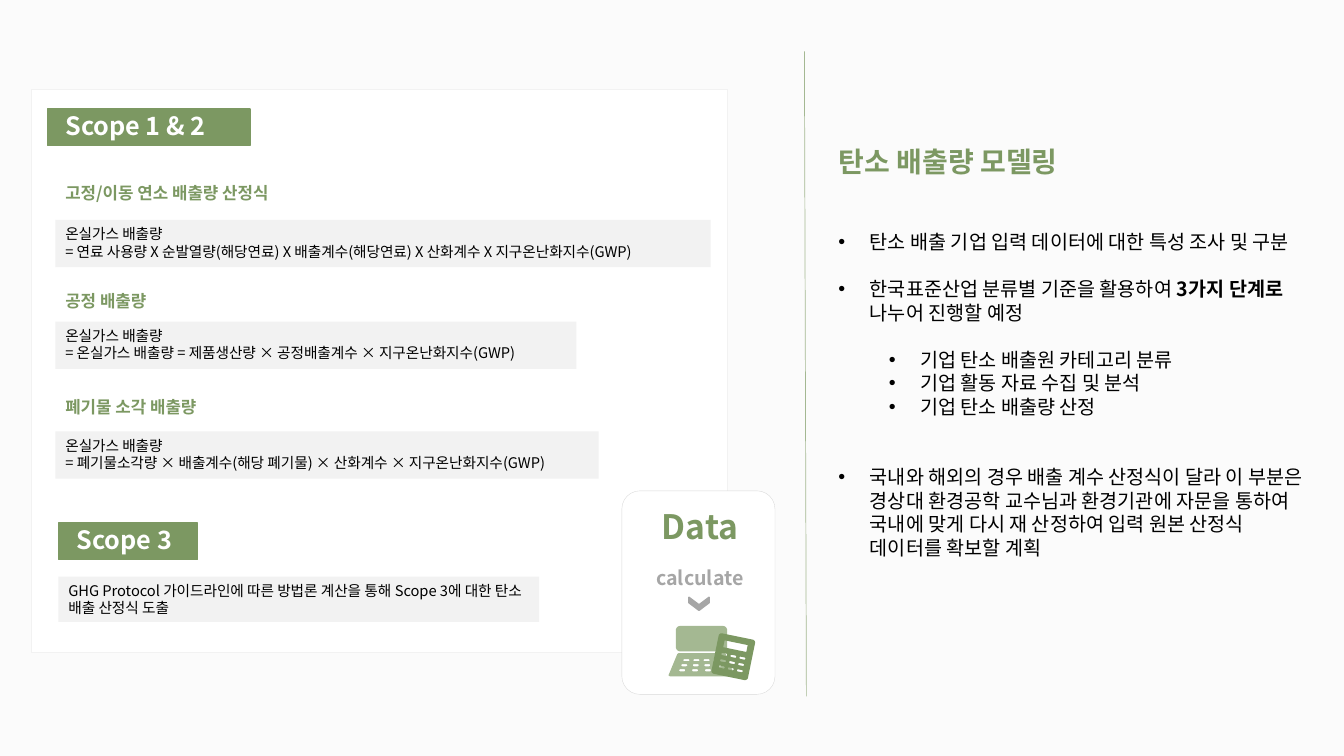
"""Build the carbon emission modelling slide."""
import math

from lxml import etree
from pptx import Presentation
from pptx.dml.color import RGBColor
from pptx.enum.shapes import MSO_CONNECTOR, MSO_SHAPE
from pptx.enum.text import MSO_ANCHOR, MSO_AUTO_SIZE, PP_ALIGN
from pptx.oxml.ns import qn
from pptx.util import Pt

RECT, ROUNDED, CHEVRON = MSO_SHAPE.RECTANGLE, MSO_SHAPE.ROUNDED_RECTANGLE, MSO_SHAPE.CHEVRON
STRAIGHT = MSO_CONNECTOR.STRAIGHT
TOP, MIDDLE = MSO_ANCHOR.TOP, MSO_ANCHOR.MIDDLE
LEFT, CENTER = PP_ALIGN.LEFT, PP_ALIGN.CENTER
NO_AUTOFIT = MSO_AUTO_SIZE.NONE

FONT = "Noto Sans CJK KR"
GREEN, LIGHT_GREEN = "7C9862", "A4B892"
WHITE, BLACK, PALE, GRAY = "FFFFFF", "000000", "F2F2F2", "A6A6A6"
LINE_HEIGHT = 16.8

FORMULAS = [
    ("고정/이동 연소 배출량 산정식", 126.7, 177.8, 157, 468,
     "= 연료 사용량 X 순발열량(해당연료) X 배출계수(해당연료) X 산화계수 X 지구온난화지수(GWP)"),
    ("공정 배출량", 203.8, 79.2, 229.7, 372.2,
     "= 온실가스 배출량 = 제품생산량 × 공정배출계수 × 지구온난화지수(GWP)"),
    ("폐기물 소각 배출량", 280.1, 120.2, 308.2, 388.1,
     "= 폐기물소각량 × 배출계수(해당 폐기물) × 산화계수 × 지구온난화지수(GWP)"),
]
BULLETS = [
    (0, 0, [("탄소 배출 기업 입력 데이터에 대한 특성 조사 및 구분", False)]),
    (0, 1, [("한국표준산업 분류별 기준을 활용하여 ", False), ("3가지 단계로 ", True),
            ("나누어 진행할 예정", False)]),
    (1, 1, [("기업 탄소 배출원 카테고리 분류", False)]),
    (1, 0, [("기업 활동 자료 수집 및 분석", False)]),
    (1, 0, [("기업 탄소 배출량 산정", False)]),
    (0, 2, [("국내와 해외의 경우 배출 계수 산정식이 달라 이 부분은 경상대 환경공학 교수님과 "
             "환경기관에 자문을 통하여 국내에 맞게 다시 재 산정하여 입력 원본 산정식 "
             "데이터를 확보할 계획", False)]),
]


def rgb(value):
    return RGBColor.from_string(value)


def style(p, size, color, bold=False, align=LEFT):
    p.alignment = align
    p.font.size, p.font.name, p.font.bold = Pt(size), FONT, bold
    p.font.color.rgb = rgb(color)
    props = p._p.get_or_add_pPr().find(qn("a:defRPr"))
    etree.SubElement(props, qn("a:ea")).set("typeface", FONT)


def write(tf, lines, size, color, bold=False, align=LEFT, anchor=TOP, wrap=True):
    tf.word_wrap, tf.auto_size, tf.vertical_anchor = wrap, NO_AUTOFIT, anchor
    for i, line in enumerate(lines):
        p = tf.add_paragraph() if i else tf.paragraphs[0]
        p.add_run().text = line
        style(p, size, color, bold, align)


def add_text(s, box, text, size, color, **options):
    sp = s.shapes.add_textbox(*map(Pt, box))
    write(sp.text_frame, [text], size, color, **options)


def paint(sp, fill, line=None, width=1):
    sp.shadow.inherit = False
    sp.fill.solid()
    sp.fill.fore_color.rgb = rgb(fill)
    if line:
        sp.line.color.rgb = rgb(line)
        sp.line.width = Pt(width)
    else:
        sp.line.fill.background()


def add_box(s, kind, box, fill, line=None, width=1):
    sp = s.shapes.add_shape(kind, *map(Pt, box))
    paint(sp, fill, line, width)
    return sp


def add_scope(s, x, y, w, text):
    add_box(s, RECT, (x, y, w, 26), GREEN, GREEN)
    add_text(s, (x + 5.8, y - 2.9, w - 5.8, 29), text, 18, WHITE, bold=True)


def add_note(s, box, lines):
    sp = add_box(s, RECT, box, PALE)
    write(sp.text_frame, lines, 10.5, BLACK)


def add_bullets(s):
    tf = s.shapes.add_textbox(Pt(591.8), Pt(160.6), Pt(356.4), Pt(295.9)).text_frame
    tf.word_wrap = True
    for i, (level, gap, runs) in enumerate(BULLETS):
        p = tf.add_paragraph() if i else tf.paragraphs[0]
        p.level, p.space_before = level, Pt(gap * LINE_HEIGHT)
        props = p._p.get_or_add_pPr()
        props.set("marL", str(Pt(22.5 + 36 * level)))
        props.set("indent", str(Pt(-22.5)))
        etree.SubElement(props, qn("a:buFont")).set("typeface", "Arial")
        etree.SubElement(props, qn("a:buChar")).set("char", "•")
        style(p, 14, BLACK)
        for text, bold in runs:
            r = p.add_run()
            r.text = text
            if bold:
                r.font.bold = True


def rounded(cx, cy, w, h, radius):
    """Return the corner points of a rounded rectangle around a centre."""
    points = []
    for quarter, (sx, sy) in enumerate([(1, 1), (-1, 1), (-1, -1), (1, -1)]):
        for step in range(6):
            a = math.radians(90 * quarter + 18 * step)
            points.append((cx + sx * (w / 2 - radius) + radius * math.cos(a),
                           cy + sy * (h / 2 - radius) + radius * math.sin(a)))
    return points


def add_outline(s, outer, holes, fill):
    contours = [[(100 * x, 100 * y) for x, y in c] for c in [outer] + [h[::-1] for h in holes]]
    builder = s.shapes.build_freeform(*contours[0][0], scale=Pt(1) / 100)
    for i, points in enumerate(contours):
        if i:
            builder.move_to(*points[0])
        builder.add_line_segments(points[1:], close=True)
    sp = builder.convert_to_shape()
    paint(sp, fill)
    return sp


def add_laptop(s, cx):
    add_outline(s, rounded(cx, 456.2, 36.7, 18.2, 3.2), [], LIGHT_GREEN)
    keys = [rounded(cx + (col - 1.5) * (7.2 + row), 471.6 + 3.6 * row, 4.3, 1.5, 0.7)
            for row in range(3) for col in range(4)]
    base = [(cx - 16.5, 466.6), (cx + 16.5, 466.6), (cx + 17.3, 467.2), (cx + 23.6, 482.4),
            (cx + 22.6, 483.1), (cx - 22.6, 483.1), (cx - 23.6, 482.4), (cx - 17.3, 467.2)]
    add_outline(s, base, keys, LIGHT_GREEN)


def add_calculator(s, cx, cy):
    display = rounded(cx, cy - 7.7, 16.9, 5, 0.1)
    keys = [rounded(cx + 6.6 * col, cy - 0.3 + 4.6 * row, 4.2, 1.6, 0.7)
            for row in range(3) for col in (-1, 0, 1)]
    sp = add_outline(s, rounded(cx, cy, 26.6, 29.5, 2.2), [display] + keys, GREEN)
    sp.rotation = 11.6


def add_data_card(s):
    card = add_box(s, ROUNDED, (444.2, 350.6, 109.4, 145.4), WHITE, "D9D9D9", 0.25)
    card.adjustments[0] = 0.118
    for y, text, size, color in [(356.4, "Data", 24, GREEN), (393.8, "calculate", 14, GRAY)]:
        add_text(s, (452.9, y, 94.3, 38.2), text, size, color,
                 bold=True, align=CENTER, anchor=MIDDLE)
    arrow = add_box(s, CHEVRON, (494.6, 424.1, 9.4, 14.4), GRAY, GRAY)
    arrow.adjustments[0] = 0.576
    arrow.rotation = 90
    add_laptop(s, 501.1)
    add_calculator(s, 523.8, 469.1)


def add_divider(s):
    line = s.shapes.add_connector(STRAIGHT, Pt(574.6), Pt(36.7), Pt(576), Pt(497.5))
    line.line.color.rgb = rgb(LIGHT_GREEN)
    line.line.width = Pt(0.5)
    etree.SubElement(line._element.spPr, qn("a:effectLst"))


def add_title(s, text):
    sp = s.shapes.title
    sp.left, sp.top, sp.width, sp.height = map(Pt, (591.8, 99.4, 190.1, 31.7))
    write(sp.text_frame, [text], 20, GREEN, bold=True, wrap=False)


def main():
    prs = Presentation()
    prs.slide_width, prs.slide_height = Pt(960), Pt(540)
    s = prs.slides.add_slide(prs.slide_layouts[5])
    s.background.fill.solid()
    s.background.fill.fore_color.rgb = rgb("FBFBFB")

    add_box(s, RECT, (22.3, 64.1, 497.5, 401.8), WHITE, PALE)
    add_scope(s, 33.8, 77.8, 144.7, "Scope 1 & 2")
    for heading, y, w, note_y, note_w, formula in FORMULAS:
        add_text(s, (39.6, y, w, 21.6), heading, 12, GREEN, bold=True, wrap=False)
        add_note(s, (39.6, note_y, note_w, 33.8), ["온실가스 배출량", formula])
    add_scope(s, 41.8, 373.7, 99.4, "Scope 3")
    add_note(s, (41.8, 411.8, 343.4, 32.4),
             ["GHG Protocol 가이드라인에 따른 방법론 계산을 통해 Scope 3에 대한 탄소 배출 산정식 도출"])

    add_data_card(s)
    add_divider(s)
    add_title(s, "탄소 배출량 모델링")
    add_bullets(s)
    prs.save("out.pptx")


if __name__ == "__main__":
    main()
